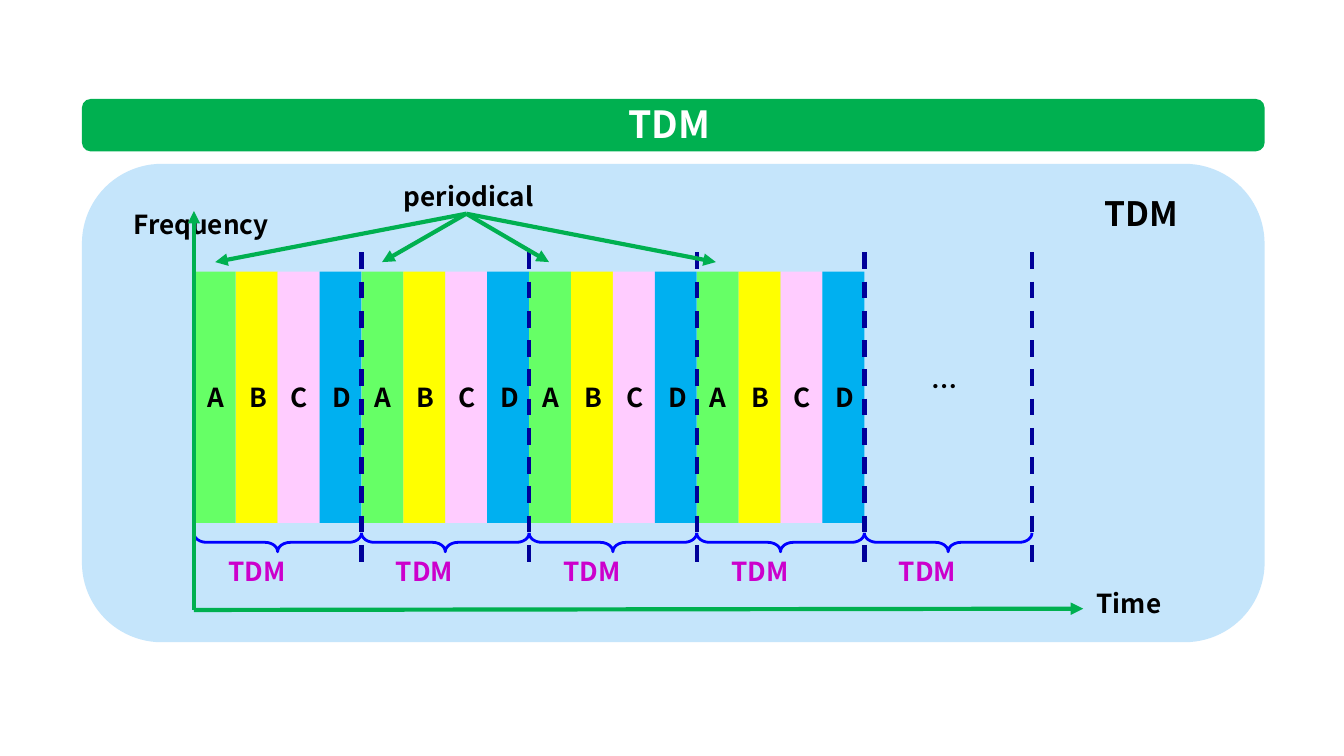
from lxml.etree import SubElement
from pptx import Presentation
from pptx.dml.color import RGBColor
from pptx.enum.dml import MSO_LINE
from pptx.enum.shapes import MSO_CONNECTOR, MSO_SHAPE
from pptx.enum.text import MSO_ANCHOR, MSO_AUTO_SIZE, PP_ALIGN
from pptx.oxml.ns import qn
from pptx.util import Pt

FONT = "Noto Sans CJK SC"
BLACK = RGBColor(0, 0, 0)
WHITE = RGBColor(255, 255, 255)
GREEN = RGBColor(0, 176, 80)
PANEL = RGBColor(197, 229, 251)
NAVY = RGBColor(0, 0, 153)
BLUE = RGBColor(0, 0, 255)
PURPLE = RGBColor(204, 0, 204)
CHANNELS = {
    "A": RGBColor(102, 255, 102),
    "B": RGBColor(255, 255, 0),
    "C": RGBColor(255, 204, 255),
    "D": RGBColor(0, 176, 240),
}
FRAME_WIDTH = 89.8
FULL_FRAMES = 4


def write(sp, text, size=14, color=BLACK, align=PP_ALIGN.LEFT, spacing=None):
    """Put one bold, unwrapped line of text in a shape."""
    tf = sp.text_frame
    tf.word_wrap = False
    p = tf.paragraphs[0]
    p.text = text
    p.alignment = align
    p.line_spacing = spacing
    p.font.name = FONT
    p.font.size = Pt(size)
    p.font.bold = True
    p.font.color.rgb = color


def add_label(s, x, y, w, h, text, **style):
    """Add a text box that grows with its text."""
    sp = s.shapes.add_textbox(Pt(x), Pt(y), Pt(w), Pt(h))
    write(sp, text, **style)
    sp.text_frame.auto_size = MSO_AUTO_SIZE.SHAPE_TO_FIT_TEXT


def add_block(s, kind, x, y, w, h, fill=None):
    """Add a preset shape with no outline and no shadow."""
    sp = s.shapes.add_shape(kind, Pt(x), Pt(y), Pt(w), Pt(h))
    sp.shadow.inherit = False
    sp.line.fill.background()
    if fill is None:
        sp.fill.background()
    else:
        sp.fill.solid()
        sp.fill.fore_color.rgb = fill
    return sp


def add_line(s, x1, y1, x2, y2, color, arrow=False):
    """Add a straight line, optionally with an arrowhead at its end."""
    line = s.shapes.add_connector(
        MSO_CONNECTOR.STRAIGHT, Pt(x1), Pt(y1), Pt(x2), Pt(y2))
    line.line.color.rgb = color
    line.line.width = Pt(2.25)
    if arrow:
        ln = line.element.spPr.get_or_add_ln()
        SubElement(ln, qn("a:tailEnd"), type="triangle")
    SubElement(line.element.spPr, qn("a:effectLst"))
    return line


def add_banner(s, x, y, w, h):
    """Draw the heading bar with the slide title on it."""
    bar = add_block(s, MSO_SHAPE.ROUNDED_RECTANGLE, x, y, w, h, GREEN)
    title = s.shapes.title
    title.left, title.top = Pt(x + 285.1), Pt(y - 2.6)
    title.width, title.height = Pt(63.4), Pt(31.7)
    write(title, "TDM ", size=20, color=WHITE, align=PP_ALIGN.CENTER)
    title.text_frame.vertical_anchor = MSO_ANCHOR.MIDDLE
    bar.element.addnext(title.element)


def add_slots(s, x, y, w, h):
    """Fill one time frame with a slot for each channel."""
    slot = w / len(CHANNELS)
    for i, (name, color) in enumerate(CHANNELS.items()):
        sp = add_block(s, MSO_SHAPE.RECTANGLE, x + i * slot, y, slot, h, color)
        write(sp, name)
        sp.text_frame.vertical_anchor = MSO_ANCHOR.MIDDLE


def add_frame_mark(s, x, y, w, h):
    """Draw the brace under a time frame and its label."""
    add_label(s, x + 11.3, y + 10.4, 49, 22.3, "TDM", color=PURPLE, spacing=0.9)
    brace = add_block(s, MSO_SHAPE.LEFT_BRACE,
                      x + (w - h) / 2, y - (w - h) / 2, h, w)
    brace.rotation = 270
    brace.adjustments[0] = 0.67
    brace.line.color.rgb = BLUE
    brace.line.width = Pt(1.5)


def add_diagram(s, x, y, w, h):
    """Draw the panel with the time-division diagram."""
    add_block(s, MSO_SHAPE.ROUNDED_RECTANGLE, x, y, w, h, PANEL)
    left, base = x + 60, y + 239
    starts = [left + i * FRAME_WIDTH for i in range(FULL_FRAMES + 1)]

    add_line(s, left, base, x + 536.4, base - 0.7, GREEN, arrow=True)
    add_label(s, x + 20.5, y + 22, 87.1, 22.3, "Frequency", spacing=0.9)
    add_label(s, x + 536.4, y + 225, 49, 22.3, "Time", spacing=0.9)
    for start in starts[:FULL_FRAMES]:
        add_slots(s, start, y + 57.8, FRAME_WIDTH, 134.6)
    add_label(s, x + 447.9, y + 107, 27.4, 23.8, "…")
    for start in starts:
        add_frame_mark(s, start, y + 197.7, FRAME_WIDTH, 10.1)
    add_line(s, left, base, left, y + 25.2, GREEN, arrow=True)
    for start in starts:
        end = start + FRAME_WIDTH
        line = add_line(s, end, y + 47.4, end, y + 218.2, NAVY)
        line.line.dash_style = MSO_LINE.DASH

    add_label(s, x + 165.3, y + 7.2, 84.2, 22.3, "periodical", spacing=0.9)
    add_label(s, x + 538.6, y + 12, 58.3, 28.8, "TDM", size=18,
              align=PP_ALIGN.CENTER)
    for i, start in enumerate(starts[:FULL_FRAMES]):
        add_line(s, x + 205.9, y + 26.7, start + 11.4 - i * 0.4, y + 52.6,
                 GREEN, arrow=True)


def main():
    """Build and save the slide."""
    prs = Presentation()
    prs.slide_width, prs.slide_height = Pt(720), Pt(405)
    s = prs.slides.add_slide(prs.slide_layouts[5])
    add_diagram(s, 43.9, 87.8, 633.6, 256.3)
    add_banner(s, 43.9, 53, 633.6, 28.1)
    prs.save("out.pptx")


if __name__ == "__main__":
    main()
